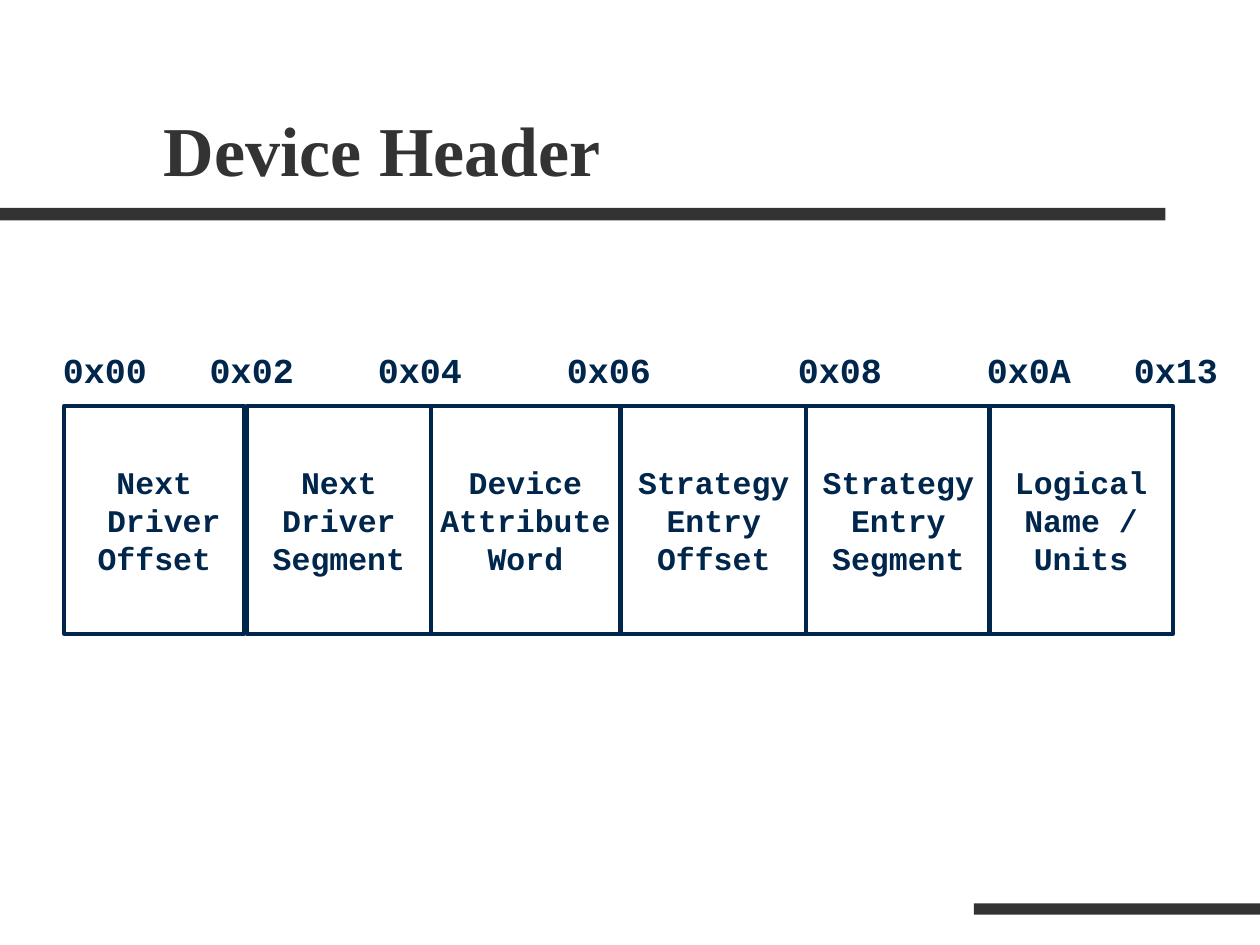
"""Build the Device Header slide: a row of header fields under their byte offsets."""
from typing import NamedTuple

from lxml import etree
from pptx import Presentation
from pptx import util as u
from pptx.dml.color import RGBColor
from pptx.enum import shapes, text
from pptx.oxml.ns import qn

GRAY = RGBColor(0x33, 0x33, 0x33)
NAVY = RGBColor(0x00, 0x26, 0x4C)
SERIF, MONO = "Times New Roman", "Courier New"
WIDTH, HEIGHT = 10, 7.5
ROW_TOP, ROW_HEIGHT = 3.22, 1.81
OFFSET_SIZE = 20
CHAR_WIDTH = OFFSET_SIZE * 0.6 / 72


class Bar(NamedTuple):
    """A solid rule, in inches."""
    left: float
    top: float
    width: float
    height: float


class Field(NamedTuple):
    """A header field and its horizontal extent in inches."""
    left: float
    width: float
    label: str


class Offset(NamedTuple):
    """A byte offset and the character column it starts at."""
    column: int
    label: str


BARS = [Bar(0, 1.65, 9.25, 0.1), Bar(7.73, 7.17, 2.27, 0.09)]
FIELDS = [
    Field(0.51, 1.43, "Next\n Driver\nOffset"),
    Field(1.96, 1.46, "Next\nDriver\nSegment"),
    Field(3.42, 1.5, "Device\nAttribute\nWord"),
    Field(4.93, 1.47, "Strategy\nEntry\nOffset"),
    Field(6.4, 1.46, "Strategy\nEntry\nSegment"),
    Field(7.85, 1.46, "Logical\nName /\nUnits"),
]
OFFSETS = [
    Offset(0, "0x00"), Offset(7, "0x02"), Offset(15, "0x04"), Offset(24, "0x06"),
    Offset(35, "0x08"), Offset(44, "0x0A"), Offset(51, "0x13"),
]


def style(p, name: str, size: float, color: RGBColor) -> None:
    """Set a bold font on a whole paragraph."""
    p.font.name, p.font.size, p.font.bold = name, u.Pt(size), True
    p.font.color.rgb = color


def add_rect(s, left: float, top: float, width: float, height: float):
    """Add a rectangle without shadow."""
    sp = s.shapes.add_shape(shapes.MSO_SHAPE.RECTANGLE, u.Inches(left), u.Inches(top),
                            u.Inches(width), u.Inches(height))
    sp.shadow.inherit = False
    return sp


def add_bar(s, bar: Bar) -> None:
    """Draw a solid rule."""
    sp = add_rect(s, *bar)
    sp.fill.solid()
    sp.fill.fore_color.rgb = GRAY
    sp.line.fill.background()


def set_title(s, title: str) -> None:
    """Place and format the title placeholder."""
    sp = s.shapes.title
    sp.left, sp.top = u.Inches(1.2), u.Inches(0.31)
    sp.width, sp.height = u.Inches(8.5), u.Inches(1.25)
    tf = sp.text_frame
    tf.text = title
    tf.auto_size = text.MSO_AUTO_SIZE.NONE
    tf.vertical_anchor = text.MSO_ANCHOR.BOTTOM
    p = tf.paragraphs[0]
    p.alignment = text.PP_ALIGN.LEFT
    style(p, SERIF, 40, GRAY)


def add_field(s, field: Field) -> None:
    """Draw one outlined header field."""
    sp = add_rect(s, field.left, ROW_TOP, field.width, ROW_HEIGHT)
    sp.fill.background()
    sp.line.color.rgb = NAVY
    sp.line.width = u.Pt(2.25)
    tf = sp.text_frame
    tf.word_wrap = False
    tf.vertical_anchor = text.MSO_ANCHOR.MIDDLE
    tf.text = field.label
    for p in tf.paragraphs:
        p.alignment = text.PP_ALIGN.CENTER
        style(p, MONO, 18, NAVY)


def add_offsets(s, offsets: list[Offset]) -> None:
    """Write the byte offsets on one line, spaced with tab stops."""
    sp = s.shapes.add_textbox(u.Inches(0.4), u.Inches(2.72), u.Inches(WIDTH), u.Inches(0.44))
    tf = sp.text_frame
    tf.word_wrap = True
    p = tf.paragraphs[0]
    p.text = "\t".join(offset.label for offset in offsets)
    tabs = etree.SubElement(p._p.get_or_add_pPr(), qn("a:tabLst"))
    for offset in offsets[1:]:
        etree.SubElement(tabs, qn("a:tab"), pos=str(u.Inches(offset.column * CHAR_WIDTH)),
                         algn="l")
    style(p, MONO, OFFSET_SIZE, NAVY)


def main() -> None:
    """Build and save the slide."""
    prs = Presentation()
    prs.slide_width, prs.slide_height = u.Inches(WIDTH), u.Inches(HEIGHT)
    s = prs.slides.add_slide(prs.slide_layouts.get_by_name("Title Only"))
    set_title(s, "Device Header")
    for bar in BARS:
        add_bar(s, bar)
    for field in FIELDS:
        add_field(s, field)
    add_offsets(s, OFFSETS)
    prs.save("out.pptx")


if __name__ == "__main__":
    main()
